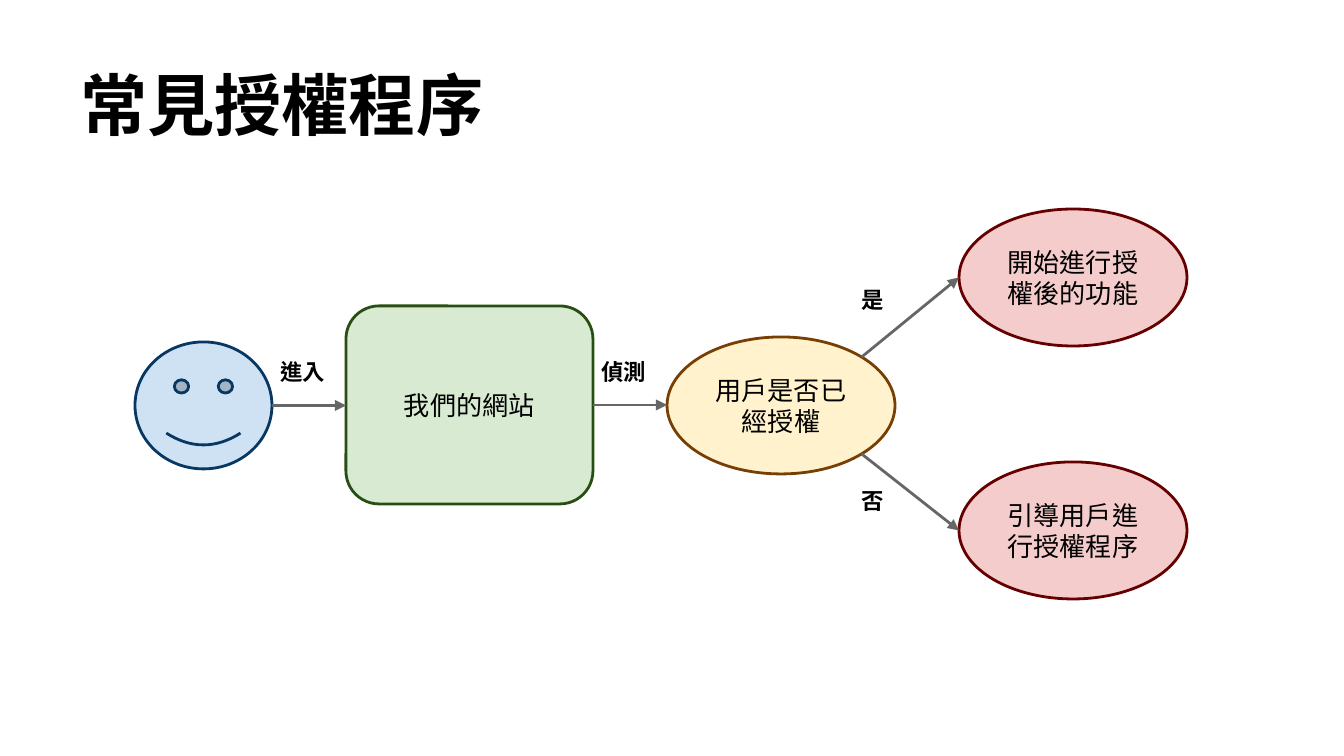
from dataclasses import dataclass
from math import sqrt
from lxml.etree import SubElement
from pptx import Presentation
from pptx.dml.color import RGBColor
from pptx.enum.shapes import MSO_CONNECTOR, MSO_SHAPE
from pptx.enum.text import MSO_ANCHOR, MSO_AUTO_SIZE, PP_ALIGN
from pptx.oxml.ns import qn
from pptx.util import Pt

SCALE = 914400 / 134.4


@dataclass(frozen=True)
class Theme:
    font: str = "Arial"
    ink: str = "000000"
    arrow: str = "666666"
    blue: tuple = ("CFE2F3", "073763")
    green: tuple = ("D9EAD3", "274E13")
    yellow: tuple = ("FFF2CC", "783F04")
    red: tuple = ("F4CCCC", "660000")
    title: int = 36
    body: int = 14
    label: int = 12
    stroke: float = 1.5


@dataclass(frozen=True)
class Box:
    x: int
    y: int
    w: int
    h: int

    def place(self, x, y, w, h):
        return Box(self.x + x, self.y + y, w, h)

    def at(self, fx, fy):
        return self.x + self.w * fx, self.y + self.h * fy

    def emu(self):
        return [emu(n) for n in (self.x, self.y, self.w, self.h)]


THEME = Theme()


def emu(px):
    return round(px * SCALE)


def color(code):
    return RGBColor.from_string(code)


def write(shape, text, size, bold=False, align=PP_ALIGN.LEFT, anchor=MSO_ANCHOR.TOP):
    frame = shape.text_frame
    frame.text = text
    frame.word_wrap = True
    frame.auto_size = MSO_AUTO_SIZE.NONE
    frame.vertical_anchor = anchor
    frame.margin_left = frame.margin_right = emu(13)
    frame.margin_top = frame.margin_bottom = emu(13)
    line = frame.paragraphs[0]
    line.alignment = align
    run = line.runs[0]
    run.font.size = Pt(size)
    run.font.bold = bold
    run.font.name = THEME.font
    run.font.color.rgb = color(THEME.ink)
    props = run._r.get_or_add_rPr()
    props.set("lang", "zh-TW")
    SubElement(props, qn("a:ea")).set("typeface", THEME.font)


def node(slide, kind, box, tone, text=""):
    shape = slide.shapes.add_shape(kind, *box.emu())
    shape.shadow.inherit = False
    shape.fill.solid()
    shape.fill.fore_color.rgb = color(tone[0])
    shape.line.color.rgb = color(tone[1])
    shape.line.width = Pt(THEME.stroke)
    if text:
        write(shape, text, THEME.body, align=PP_ALIGN.CENTER, anchor=MSO_ANCHOR.MIDDLE)


def arrow(slide, start, end):
    ends = [emu(n) for n in (*start, *end)]
    link = slide.shapes.add_connector(MSO_CONNECTOR.STRAIGHT, *ends)
    link.line.color.rgb = color(THEME.arrow)
    link.line.width = Pt(THEME.stroke)
    tail = SubElement(link.line._get_or_add_ln(), qn("a:tailEnd"))
    tail.set("type", "triangle")
    SubElement(link._element.spPr, qn("a:effectLst"))


def label(slide, box, text):
    shape = slide.shapes.add_textbox(*box.emu())
    write(shape, text, THEME.label, bold=True)


def heading(slide, box, text):
    title = slide.shapes.title
    title.left, title.top, title.width, title.height = box.emu()
    write(title, text, THEME.title, bold=True, anchor=MSO_ANCHOR.BOTTOM)


def flow(slide, box):
    oval = MSO_SHAPE.OVAL
    user = box.place(0, 133, 137, 127)
    site = box.place(211, 97, 247, 198)
    check = box.place(532, 128, 228, 137)
    node(slide, MSO_SHAPE.SMILEY_FACE, user, THEME.blue)
    node(slide, MSO_SHAPE.ROUNDED_RECTANGLE, site, THEME.green, "我們的網站")
    node(slide, oval, check, THEME.yellow, "用戶是否已經授權")

    steps = ((user, site, "進入"), (site, check, "偵測"))
    for left, right, text in steps:
        start, end = left.at(1, 0.5), right.at(0, 0.5)
        arrow(slide, start, (end[0], start[1]))
        label(slide, Box(round(start[0]) - 5, box.y + 136, 83, 67), text)

    reach = sqrt(0.5) / 2
    branches = (
        (0, -reach, 64, "是", "開始進行授權後的功能"),
        (253, reach, 265, "否", "引導用戶進行授權程序"),
    )
    for top, shift, mark, word, text in branches:
        goal = box.place(824, top, 228, 137)
        node(slide, oval, goal, THEME.red, text)
        arrow(slide, check.at(0.5 + reach, 0.5 + shift), goal.at(0, 0.5))
        label(slide, box.place(713, mark, 83, 67), word)


def build():
    deck = Presentation()
    deck.slide_width, deck.slide_height = emu(1344), emu(756)
    slide = deck.slides.add_slide(deck.slide_layouts[5])
    heading(slide, Box(67, 31, 1210, 126), "常見授權程序")
    flow(slide, Box(135, 209, 1052, 390))
    deck.save("out.pptx")


build()
